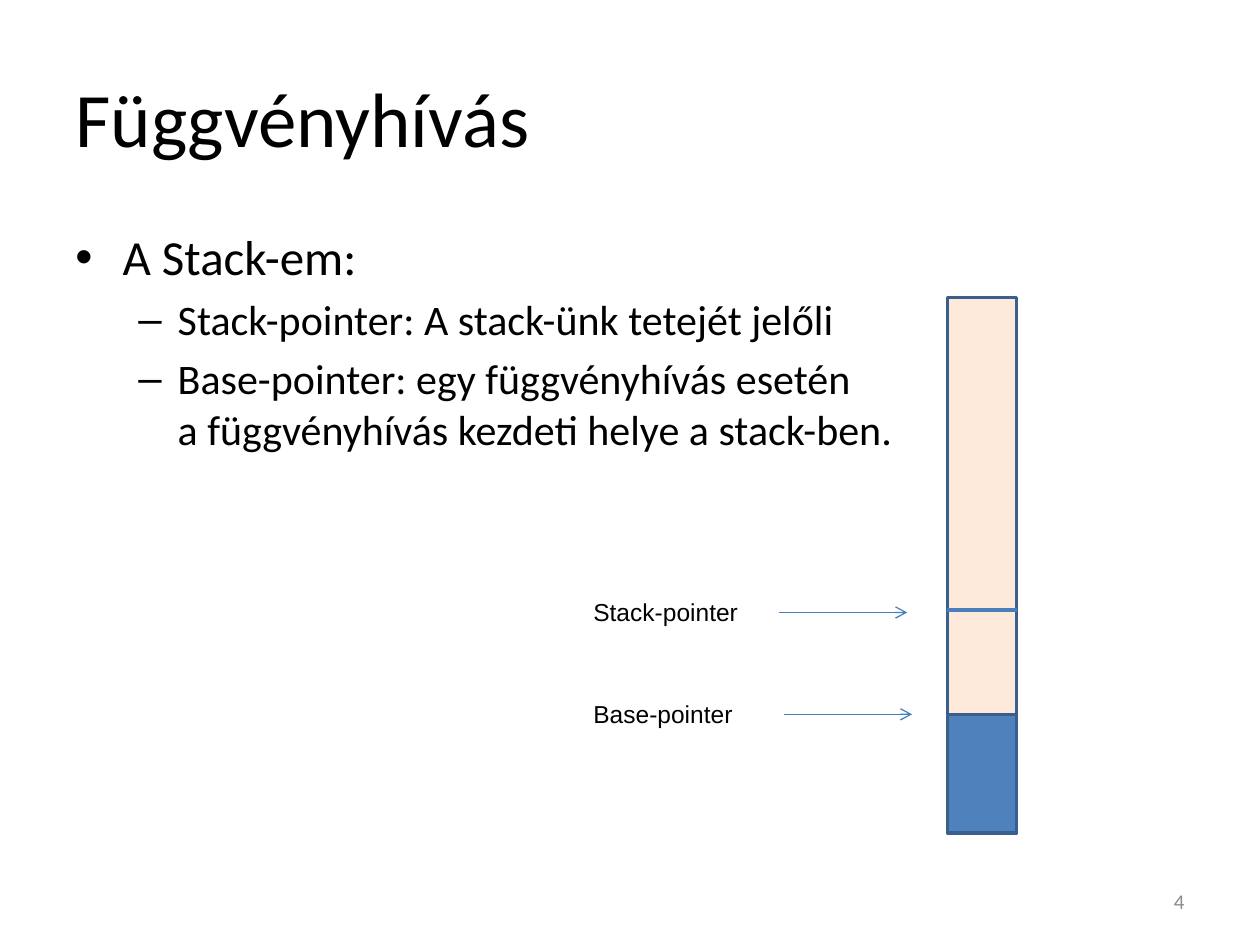
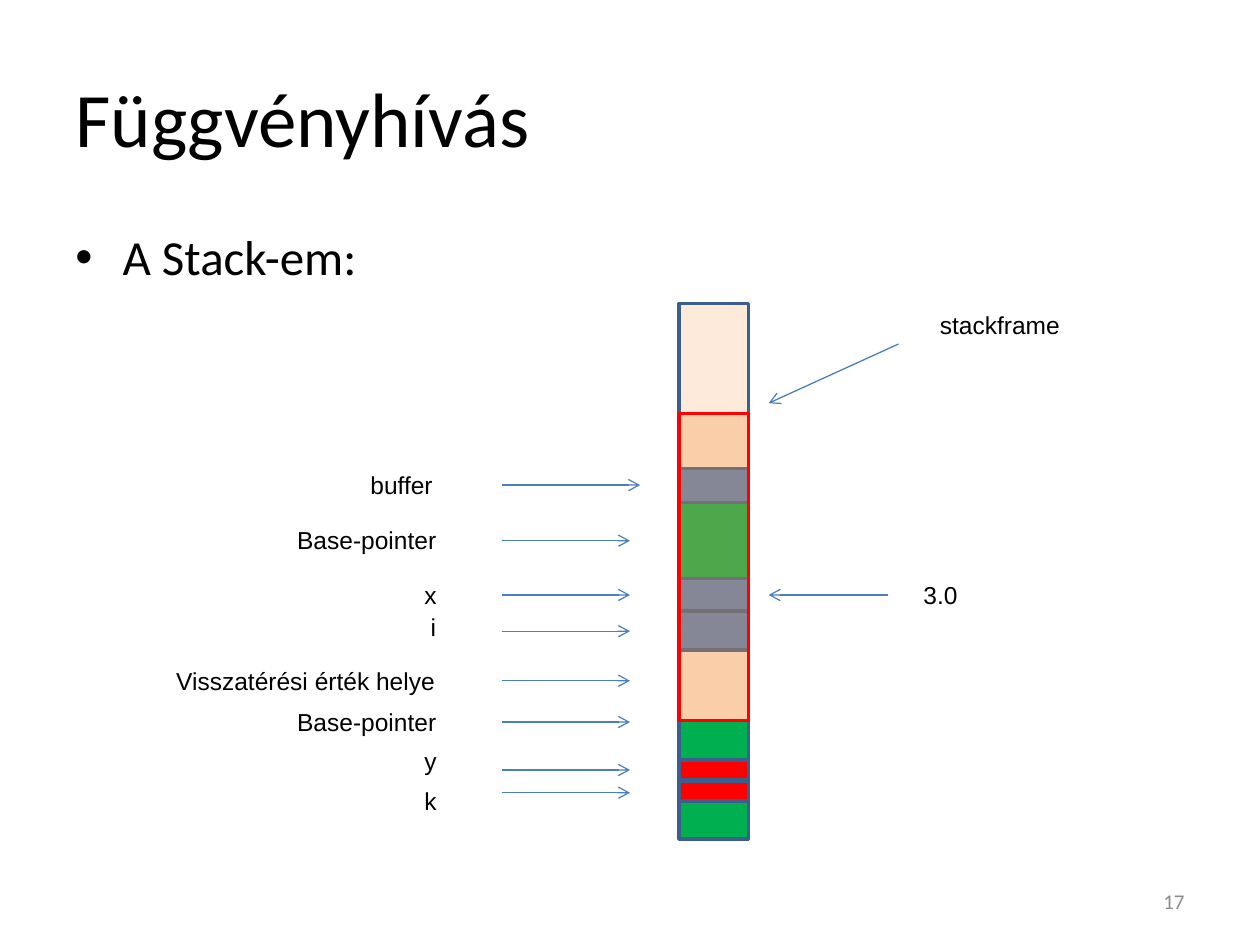
import pptx
import pptx.util
import pptx.dml.color
import pptx.enum.shapes
import pptx.enum.text
import pptx.oxml
import pptx.oxml.ns
from lxml import etree

Pt = pptx.util.Pt
RGB = pptx.dml.color.RGBColor
ALIGN = pptx.enum.text.PP_ALIGN
ANCHOR = pptx.enum.text.MSO_ANCHOR
qn = pptx.oxml.ns.qn

BLACK = RGB(0x00, 0x00, 0x00)
GREY = RGB(0x8C, 0x8C, 0x8C)
CREAM = RGB(0xFD, 0xEA, 0xDA)
BLUE = RGB(0x4F, 0x81, 0xBD)
EDGE = RGB(0x3A, 0x5F, 0x8C)
LINE = RGB(0x4B, 0x7E, 0xBC)
GREEN = RGB(0x00, 0xB0, 0x50)
RED = RGB(0xFF, 0x00, 0x00)
ORANGE = RGB(0xF7, 0x96, 0x46)

BAR_W = 39.6
BAR_H = 306
LABEL_H = 24.5
# Per level: bullet, size, left margin, hanging indent
LEVELS = [("•", 28, 27, 27), ("–", 24, 58.5, 22.5)]


def write(para, text, font="Calibri", size=12, color=BLACK, align=ALIGN.LEFT):
    para.text = text
    para.alignment = align
    for run in para.runs:
        run.font.name = font
        run.font.size = Pt(size)
        run.font.color.rgb = color


def add_box(slide, x, y, w, h, anchor=ANCHOR.TOP, wrap=True):
    box = slide.shapes.add_textbox(Pt(x), Pt(y), Pt(w), Pt(h))
    frame = box.text_frame
    frame.word_wrap = wrap
    frame.vertical_anchor = anchor
    return frame


def add_list(slide, items):
    """Fill the body area with (level, text) items."""
    frame = add_box(slide, 36, 126, 648, 356.4)
    for num, (level, text) in enumerate(items):
        mark, size, left, hang = LEVELS[level]
        para = frame.add_paragraph() if num else frame.paragraphs[0]
        write(para, text, size=size)
        para.level = level
        para.space_before = Pt(size * 0.2)
        props = para._p.get_or_add_pPr()
        props.set("marL", str(Pt(left)))
        props.set("indent", str(-Pt(hang)))
        etree.SubElement(props, qn("a:buFont"), typeface="Arial")
        etree.SubElement(props, qn("a:buChar"), char=mark)


def add_label(slide, text, x, mid, width):
    frame = add_box(slide, x, mid - LABEL_H / 2, width, LABEL_H, wrap=False)
    write(frame.paragraphs[0], text, font="Arial", size=14)


def add_line(slide, x1, y1, x2, y2, width=0.75, arrow=True):
    line = slide.shapes.add_connector(
        pptx.enum.shapes.MSO_CONNECTOR.STRAIGHT, Pt(x1), Pt(y1), Pt(x2), Pt(y2))
    line.line.color.rgb = LINE
    line.line.width = Pt(width)
    if arrow:
        etree.SubElement(line.line._get_or_add_ln(), qn("a:tailEnd"), type="arrow")
    etree.SubElement(line._element.spPr, qn("a:effectLst"))


def add_cell(slide, x, y, h, fill, edge=EDGE, alpha=None):
    """Draw one block of the stack; alpha is its opacity in percent."""
    cell = slide.shapes.add_shape(
        pptx.enum.shapes.MSO_SHAPE.RECTANGLE, Pt(x), Pt(y), Pt(BAR_W), Pt(h))
    cell.shadow.inherit = False
    cell.fill.solid()
    cell.fill.fore_color.rgb = fill
    cell.line.color.rgb = edge
    cell.line.width = Pt(2)
    if alpha:
        tint = cell._element.spPr.find(qn("a:solidFill"))[0]
        etree.SubElement(tint, qn("a:alpha"), val=str(alpha * 1000))


def add_mark(slide, x, y):
    """Draw a plain line across the stack."""
    add_line(slide, x, y, x + BAR_W, y, width=2, arrow=False)


def add_page(deck, number, items=()):
    slide = deck.slides.add_slide(deck.slide_layouts[6])
    title = add_box(slide, 36, 21.6, 648, 90, ANCHOR.MIDDLE)
    write(title.paragraphs[0], "Függvényhívás", size=44)
    add_list(slide, [(0, "A Stack-em:"), *items])
    foot = add_box(slide, 516, 500.5, 168, 28.75, ANCHOR.MIDDLE)
    write(foot.paragraphs[0], str(number), color=GREY, align=ALIGN.RIGHT)
    return slide


def draw_intro(deck):
    slide = add_page(deck, 4, [
        (1, "Stack-pointer: A stack-ünk tetejét jelőli"),
        (1, "Base-pointer: egy függvényhívás esetén \v"
            "a függvényhívás kezdeti helye a stack-ben."),
    ])
    left = 541.4
    add_cell(slide, left, 170, BAR_H, CREAM)
    add_cell(slide, left, 408.2, 67.7, BLUE)
    for text, width, mid, start in [
        ("Base-pointer", 94.3, 408.2, 447.8),
        ("Stack-pointer", 97.9, 350, 445),
    ]:
        add_label(slide, text, 332, mid, width)
        add_line(slide, start, mid, start + 73.4, mid)
    add_mark(slide, left, 348.5)


def draw_frame(deck):
    slide = add_page(deck, 17)
    left = 388
    add_cell(slide, left, 173.5, BAR_H, CREAM)
    add_cell(slide, left, 411.8, 67.7, GREEN)
    add_mark(slide, left, 371.5)
    for top, high, fill in [
        (434.2, 11.5, RED),
        (446.4, 11.5, RED),
        (349.2, 22.3, BLUE),
        (329.8, 19.4, BLUE),
        (287.3, 43.2, GREEN),
        (267.8, 19.4, BLUE),
    ]:
        add_cell(slide, left, top, high, fill)
    add_cell(slide, left, 236.2, 175.7, ORANGE, edge=RED, alpha=32)

    # Text, right edge, width, label height, arrow height, arrow tip
    for text, right, width, mid, aim, tip in [
        ("buffer", 255, 50.4, 277.2, 277.2, 365.8),
        ("Base-pointer", 257, 94.3, 309, 309, 360),
        ("x", 257, 21.6, 340, 340, 360),
        ("i", 257, 18, 358.6, 360.7, 360),
        ("Visszatérési érték helye", 257, 163.4, 389.5, 389, 360),
        ("Base-pointer", 257, 94.3, 412.6, 412.6, 360),
        ("y", 257, 21.6, 435, 440, 360),
        ("k", 257, 21.6, 458, 453, 360),
    ]:
        add_label(slide, text, right - width, mid, width)
        add_line(slide, 286.6, aim, tip, aim)

    add_label(slide, "3.0", 520.6, 340, 33.8)
    add_line(slide, 507.6, 340, 439.2, 340)
    add_label(slide, "stackframe", 530, 185.8, 83.5)
    add_line(slide, 513.4, 196.6, 439.2, 230.4)


def main():
    deck = pptx.Presentation()
    deck.slide_width = Pt(720)
    deck.slide_height = Pt(540)
    draw_intro(deck)
    draw_frame(deck)
    deck.save("out.pptx")


if __name__ == "__main__":
    main()
